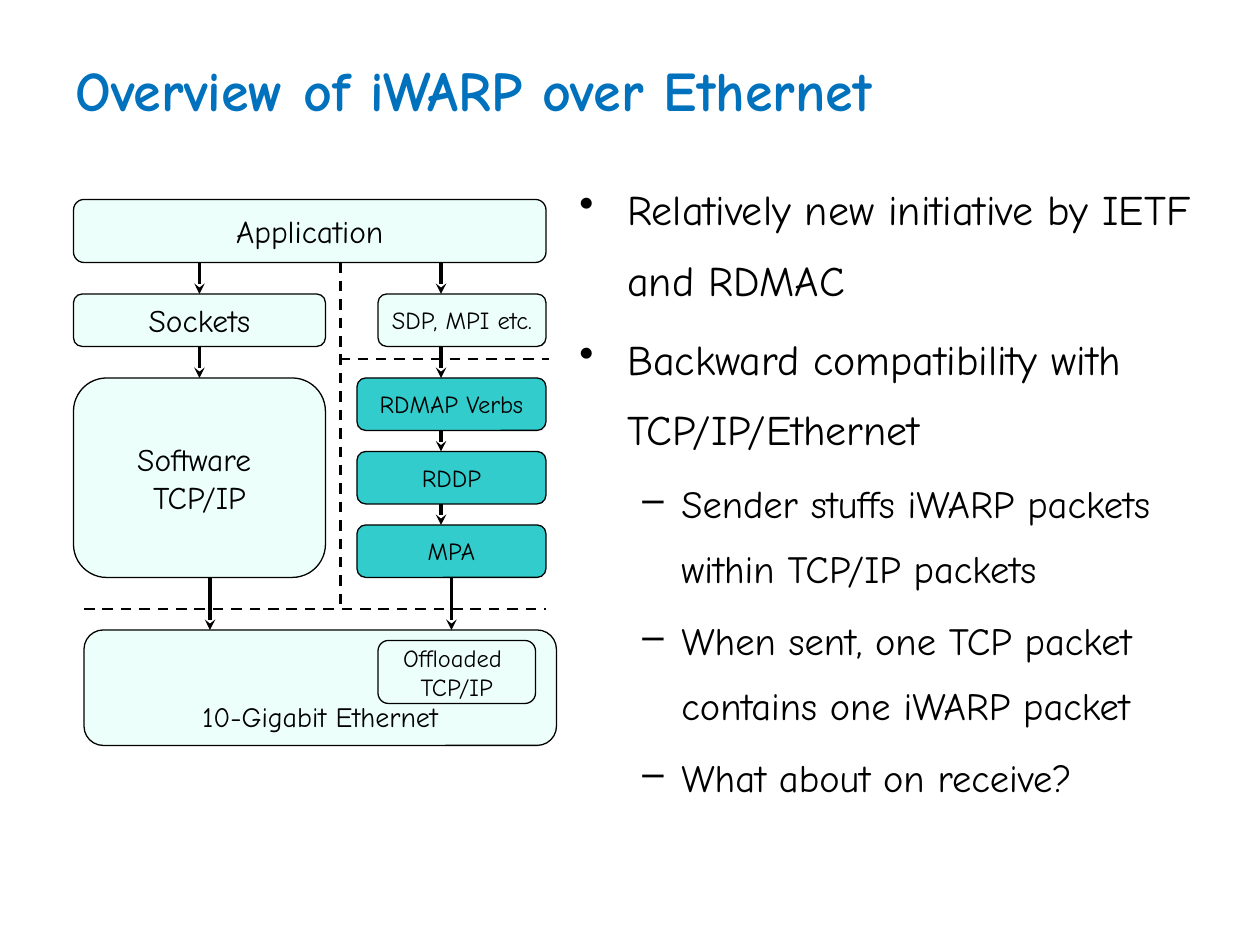
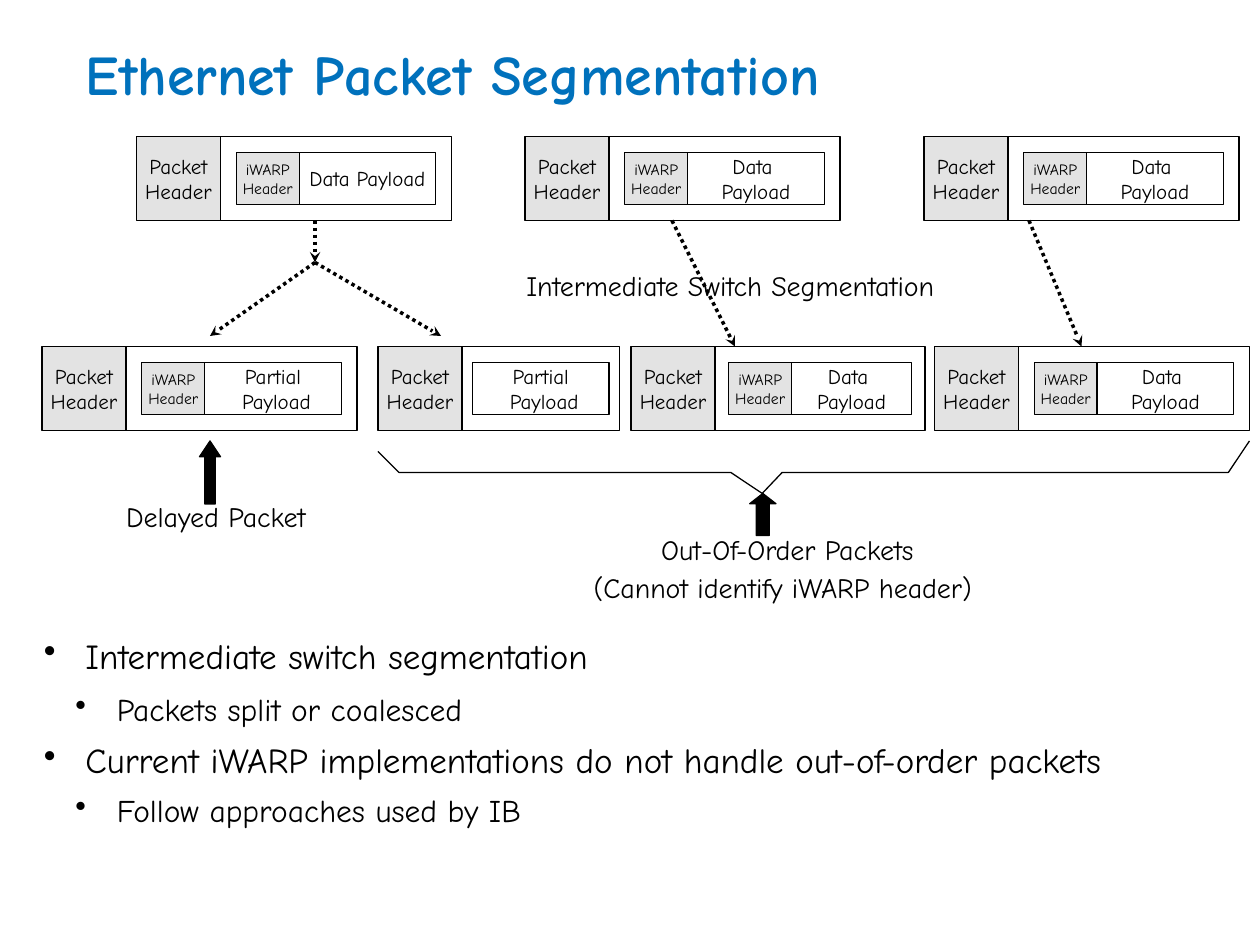
from lxml import etree
from pptx import Presentation
from pptx.dml.color import RGBColor
from pptx.enum.dml import MSO_LINE
from pptx.enum.shapes import MSO_CONNECTOR, MSO_SHAPE
from pptx.enum.text import MSO_ANCHOR, PP_ALIGN
from pptx.oxml.ns import qn
from pptx.util import Inches, Pt

FONT = "Comic Neue"
BLACK, BLUE = "000000", "0071BC"
MINT, TEAL, GREY = "EDFFFA", "33CCCC", "E3E3E3"
ROUND, RECT, UP = MSO_SHAPE.ROUNDED_RECTANGLE, MSO_SHAPE.RECTANGLE, MSO_SHAPE.UP_ARROW
STRAIGHT = MSO_CONNECTOR.STRAIGHT
DASH, DOT = MSO_LINE.DASH, MSO_LINE.ROUND_DOT
TOP, MIDDLE, BOTTOM = MSO_ANCHOR.TOP, MSO_ANCHOR.MIDDLE, MSO_ANCHOR.BOTTOM
LEFT, CENTER = PP_ALIGN.LEFT, PP_ALIGN.CENTER
WIDE, HIGH = 10, 7.5
COLS = 120
HEAD, TALL = 8, 8
TAG, INNER = 6, 5


def unit(n):
    """Turn grid columns or rows into a length."""
    return Inches(n * WIDE / COLS)


def shift(box, *spot):
    """Move a place given within a box to its place on the slide."""
    return (box[0] + spot[0], box[1] + spot[1], *spot[2:])


def color(code):
    """Turn a hex string into a colour."""
    return RGBColor.from_string(code)


def write(frame, text, size=12, ink=BLACK, bold=False, align=CENTER, anchor=MIDDLE,
          wrap=False, gap=0, lead=None, mark=None, left=0, hang=0, level=0):
    """Fill a frame with one paragraph per line of text, after any already there."""
    frame.word_wrap = wrap
    frame.vertical_anchor = anchor
    for line in text.split("\n"):
        first = not frame.text
        para = frame.paragraphs[0] if first else frame.add_paragraph()
        para.alignment = align
        para.level = level
        if lead:
            para.line_spacing = lead
        if gap and not first:
            para.space_before = Pt(gap * size)
        if mark:
            props = para._p.get_or_add_pPr()
            props.set("marL", str(Inches(left)))
            props.set("indent", str(-Inches(hang)))
            etree.SubElement(props, qn("a:buChar"), char=mark)
        run = para.add_run()
        run.text = line
        run.font.name, run.font.size, run.font.bold = FONT, Pt(size), bold
        run.font.color.rgb = color(ink)


def label(slide, box, text, **form):
    """Add a text box and return its frame."""
    frame = slide.shapes.add_textbox(*map(unit, box)).text_frame
    write(frame, text, wrap=True, **form)
    return frame


def title(slide, box, text):
    """Add the slide title."""
    label(slide, box, text, size=32, ink=BLUE, bold=True, align=LEFT)


def paint(shape, fill=None):
    """Give a shape a thin black line and a flat fill or none."""
    shape.shadow.inherit = False
    if fill:
        shape.fill.solid()
        shape.fill.fore_color.rgb = color(fill)
    else:
        shape.fill.background()
    shape.line.color.rgb = color(BLACK)
    shape.line.width = Pt(0.75)


def block(slide, kind, box, fill=None, text=None, **form):
    """Add a preset shape, with text if any."""
    shape = slide.shapes.add_shape(kind, *map(unit, box))
    paint(shape, fill)
    if text:
        write(shape.text_frame, text, **form)
    return shape


def rule(slide, start, end, width=2, dash=None, arrow=True):
    """Draw a straight line, with an arrowhead at its end if wanted."""
    line = slide.shapes.add_connector(STRAIGHT, *map(unit, (*start, *end)))
    line.line.color.rgb = color(BLACK)
    line.line.width = Pt(width)
    if dash:
        line.line.dash_style = dash
    props = line._element.spPr
    if arrow:
        etree.SubElement(props.find(qn("a:ln")), qn("a:tailEnd"), type="stealth")
    etree.SubElement(props, qn("a:effectLst"))


def stack(slide, box):
    """Draw the protocol stack with its two paths to the network."""
    parts = [
        ((0, 0, 45, 6), MINT, "Application", 18),
        ((0, 9, 24, 5), MINT, "Sockets", 18),
        ((29, 9, 16, 5), MINT, "SDP, MPI etc.", 14),
        ((0, 17, 24, 19), MINT, "Software \nTCP/IP", 18),
    ]
    for row, name in enumerate(("RDMAP Verbs", "RDDP", "MPA")):
        parts.append(((27, 17 + 7 * row, 18, 5), TEAL, name, 14))
    for spot, fill, text, size in parts:
        block(slide, ROUND, shift(box, *spot), fill, text, size=size)
    block(slide, ROUND, shift(box, 1, 41, 45, 11), MINT, "10-Gigabit Ethernet",
          size=16, anchor=BOTTOM)
    block(slide, ROUND, shift(box, 29, 42, 15, 6), MINT, "Offloaded \nTCP/IP", size=14)

    drops = [(12, 6, 9), (12, 14, 17), (13, 36, 41), (35, 6, 9), (35, 14, 17),
             (35, 22, 24), (35, 29, 31), (36, 36, 41)]
    for x, top, end in drops:
        rule(slide, shift(box, x, top), shift(box, x, end))
    for start, end in (((25.4, 6), (25.4, 39)), ((25.3, 15.2), (45.3, 15.2)),
                       ((1, 39), (45, 39))):
        rule(slide, shift(box, *start), shift(box, *end), 1.5, DASH, False)


def points(slide, box, rows):
    """List bullet points, each a text with its own format."""
    form = dict(align=LEFT, anchor=TOP, gap=0.2)
    (text, look), *rest = rows
    frame = label(slide, box, text, **form, **look)
    for text, look in rest:
        write(frame, text, wrap=True, **form, **look)


def packet(slide, box, body, text, wide=13, tagged=True):
    """Draw a packet: its header, then a body with the payload in its middle."""
    block(slide, RECT, shift(box, 0, 0, HEAD, TALL), GREY, "Packet\nHeader")
    block(slide, RECT, shift(box, HEAD, 0, body, TALL))
    tag = TAG if tagged else 0
    x, y = HEAD + (body - tag - wide) / 2, (TALL - INNER) / 2
    if tagged:
        block(slide, RECT, shift(box, x, y, tag, INNER), GREY, "iWARP\nHeader", size=9)
    block(slide, RECT, shift(box, x + tag, y, wide, INNER), None, text)


def flow(slide, box):
    """Draw the packets before and after the switch, and the arrows between."""
    data, part = "Data \nPayload", "Partial\n Payload"
    for x, text in ((9, "Data Payload"), (46, data), (84, data)):
        packet(slide, shift(box, x, 0), 22, text)
    packet(slide, shift(box, 0, 20), 22, part)
    packet(slide, shift(box, 32, 20), 15, part, tagged=False)
    packet(slide, shift(box, 56.1, 20), 20, data, wide=11.4)
    packet(slide, shift(box, 85, 20), 22, data)
    for start, end in (((26, 8), (26, 12)), ((26, 12), (38, 19)), ((26, 12), (16, 19)),
                       ((60, 8), (66, 20)), ((94, 8), (99, 20))):
        rule(slide, shift(box, *start), shift(box, *end), dash=DOT)
    label(slide, shift(box, 38, 12, 56, 4.4), "Intermediate Switch Segmentation ",
          size=16, anchor=TOP)


def notes(slide, box):
    """Mark the delayed packet and brace the ones out of order."""
    for spot, head in (((15, 0, 2, 6), 0.75), ((67.4, 5, 2.5, 4), 0.39)):
        arrow = block(slide, UP, shift(box, *spot), BLACK)
        arrow.adjustments[1] = head
    rule(slide, shift(box, 35, 1), shift(box, 35, 1), 0.75, arrow=False)
    brace = [(32, 1), (34, 3), (65.6, 3), (68.6, 5), (70.5, 3), (113, 3), (115, 0)]
    start, *rest = [tuple(map(unit, shift(box, *spot))) for spot in brace]
    build = slide.shapes.build_freeform(*start)
    build.add_line_segments(rest, close=False)
    paint(build.convert_to_shape())
    label(slide, shift(box, 3, 5, 28, 4.4), "Delayed Packet ", size=16, anchor=TOP)
    label(slide, shift(box, 46, 9, 50, 7.3),
          "Out-Of-Order Packets\n(Cannot identify iWARP header) ",
          size=16, anchor=TOP, lead=0.7, gap=0.5)


def main():
    """Build both slides and save them."""
    deck = Presentation()
    deck.slide_width, deck.slide_height = Inches(WIDE), Inches(HIGH)
    blank = deck.slide_layouts[6]

    slide = deck.slides.add_slide(blank)
    title(slide, (6, 2, 108, 13), "Overview of iWARP over Ethernet")
    main_look = dict(size=24, lead=1.4, mark="•", left=0.38, hang=0.38)
    sub_look = dict(size=22, lead=1.4, mark="–", left=0.81, hang=0.31, level=1)
    points(slide, (54, 15, 64, 66), [
        ("Relatively new initiative by IETF and RDMAC", main_look),
        ("Backward compatibility with TCP/IP/Ethernet", main_look),
        ("Sender stuffs iWARP packets within TCP/IP packets", sub_look),
        ("When sent, one TCP packet contains one iWARP packet", sub_look),
        ("What about on receive?", sub_look),
    ])
    stack(slide, (7, 19))

    slide = deck.slides.add_slide(blank)
    title(slide, (7, 2, 109, 10), "Ethernet Packet Segmentation")
    flow(slide, (4, 13))
    notes(slide, (4, 42))
    main_look = dict(size=20, mark="•", left=0.33, hang=0.33)
    sub_look = dict(size=18, mark="•", left=0.58, hang=0.33, level=1)
    points(slide, (3, 59, 114, 21), [
        ("Intermediate switch segmentation", dict(main_look, lead=1.2)),
        ("Packets split or coalesced", dict(sub_look, lead=1.2)),
        ("Current iWARP implementations do not handle out-of-order packets",
         dict(main_look, lead=1.1)),
        ("Follow approaches used by IB", dict(sub_look, lead=1.1)),
    ])
    deck.save("out.pptx")


if __name__ == "__main__":
    main()
